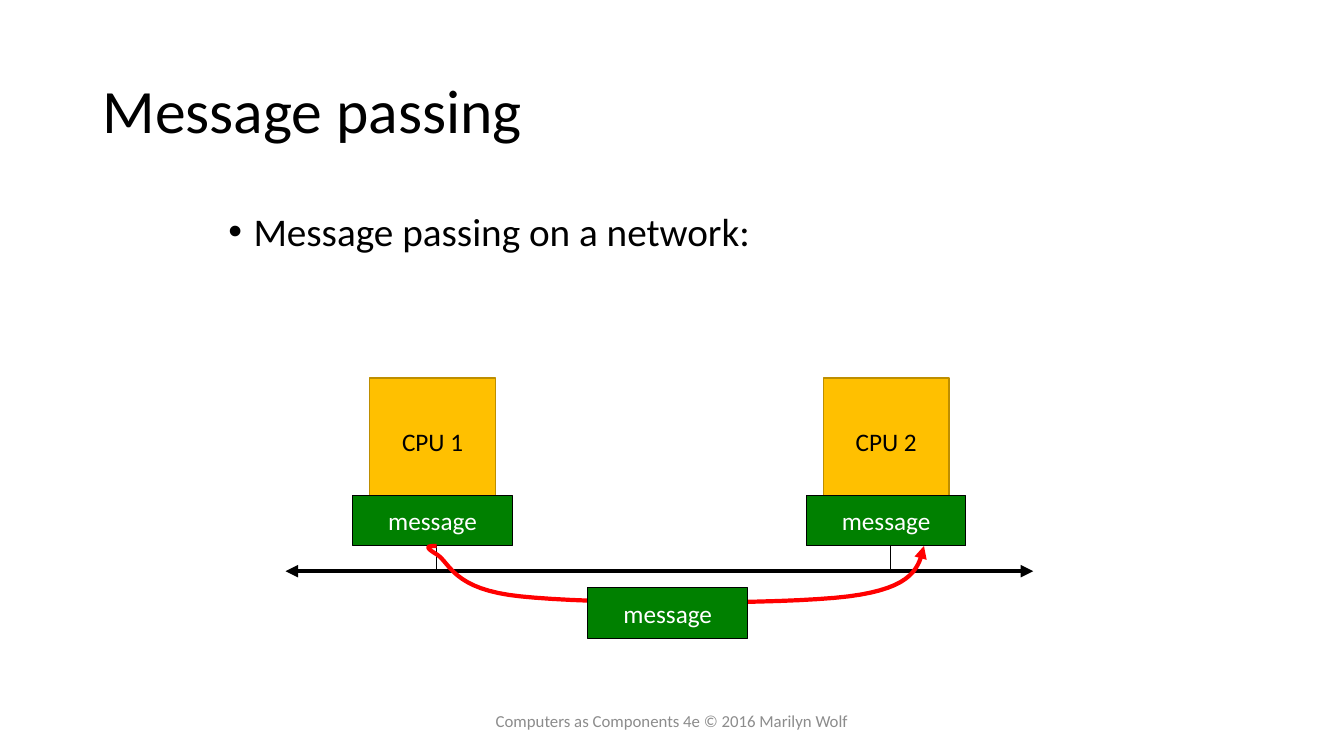
import pptx
import pptx.dml.color
import pptx.enum.shapes
import pptx.enum.text
import pptx.oxml.ns
import pptx.util
from lxml import etree

BLACK = pptx.dml.color.RGBColor(0x00, 0x00, 0x00)
WHITE = pptx.dml.color.RGBColor(0xFF, 0xFF, 0xFF)
GRAY = pptx.dml.color.RGBColor(0x8C, 0x8C, 0x8C)
GOLD = pptx.dml.color.RGBColor(0xFF, 0xC0, 0x00)
DARK_GOLD = pptx.dml.color.RGBColor(0xBD, 0x8E, 0x00)
GREEN = pptx.dml.color.RGBColor(0x00, 0x80, 0x00)
RED = pptx.dml.color.RGBColor(0xFF, 0x00, 0x00)

WIDTH = pptx.util.Inches(13.333)
HEIGHT = pptx.util.Inches(7.5)
COLUMNS, ROWS = 160, 90
NODE_PITCH = 54
BUS_ROW = 68
CURVE_STEPS = 16

ALIGN = pptx.enum.text.PP_ALIGN
MIDDLE = pptx.enum.text.MSO_ANCHOR.MIDDLE
TOP = pptx.enum.text.MSO_ANCHOR.TOP

TITLE = {"size": 44, "color": BLACK, "align": ALIGN.LEFT, "spacing": 0.9}
BULLET = {"size": 28, "color": BLACK, "align": ALIGN.LEFT, "spacing": 0.9,
          "anchor": TOP, "bullet": True}
FOOTER = {"size": 12, "color": GRAY}
CPU = {"size": 18, "color": BLACK, "wrap": False}
MESSAGE = {"size": 18, "color": WHITE, "wrap": False}


def col(count):
    return round(WIDTH * count / COLUMNS)


def row(count):
    return round(HEIGHT * count / ROWS)


def cells(left, top, width, height):
    return col(left), row(top), col(width), row(height)


def apply(target, values):
    for name, value in values.items():
        setattr(target, name, value)


def add_xml(parent, tag, **attributes):
    return etree.SubElement(parent, pptx.oxml.ns.qn(tag), attributes)


def write(shape, words, size, color, align=ALIGN.CENTER, spacing=1.0,
          anchor=MIDDLE, wrap=True, bullet=False):
    frame = shape.text_frame
    frame.text = words
    apply(frame, {"word_wrap": wrap, "vertical_anchor": anchor,
                  "auto_size": pptx.enum.text.MSO_AUTO_SIZE.NONE})
    paragraph = frame.paragraphs[0]
    apply(paragraph, {"alignment": align, "line_spacing": spacing})
    if bullet:
        indent = pptx.util.Inches(0.25)
        properties = paragraph._p.get_or_add_pPr()
        properties.set("marL", str(indent))
        properties.set("indent", str(-indent))
        add_xml(properties, "a:buFont", typeface="Arial")
        add_xml(properties, "a:buChar", char="•")
    font = paragraph.runs[0].font
    apply(font, {"name": "Calibri", "size": pptx.util.Pt(size)})
    font.color.rgb = color


def draw_line(line, color, width, *ends):
    line.color.rgb = color
    line.width = pptx.util.Pt(width)
    for end in ends:
        add_xml(line._get_or_add_ln(), end, type="triangle")


def add_title(slide, words):
    title = slide.shapes.title
    left, top, width, height = cells(11, 4.8, 138, 17.4)
    apply(title, {"left": left, "top": top, "width": width, "height": height})
    write(title, words, **TITLE)


def add_label(slide, place, words, style):
    write(slide.shapes.add_textbox(*cells(*place)), words, **style)


def add_block(slide, place, words, style, fill, border, border_width):
    block = slide.shapes.add_shape(
        pptx.enum.shapes.MSO_SHAPE.RECTANGLE, *cells(*place))
    block.shadow.inherit = False
    block.fill.solid()
    block.fill.fore_color.rgb = fill
    draw_line(block.line, border, border_width)
    write(block, words, **style)


def add_message(slide, left, top):
    add_block(slide, (left, top, 19, 6), "message", MESSAGE, GREEN, BLACK, 0.75)


def add_link(slide, start, finish, width, *ends):
    link = slide.shapes.add_connector(
        pptx.enum.shapes.MSO_CONNECTOR.STRAIGHT,
        col(start[0]), row(start[1]), col(finish[0]), row(finish[1]))
    draw_line(link.line, BLACK, width, *ends)
    add_xml(link._element.spPr, "a:effectLst")


def bezier(points, t):
    weights = ((1 - t) ** 3, 3 * t * (1 - t) ** 2, 3 * t ** 2 * (1 - t), t ** 3)
    x, y = (sum(w * p[axis] for w, p in zip(weights, points)) for axis in (0, 1))
    return col(x), row(y)


def add_route(slide, knots):
    trail = [bezier(knots[first:first + 4], step / CURVE_STEPS)
             for first in range(0, len(knots) - 1, 3)
             for step in range(1, CURVE_STEPS + 1)]
    builder = slide.shapes.build_freeform(col(knots[0][0]), row(knots[0][1]))
    builder.add_line_segments(trail, close=False)
    route = builder.convert_to_shape()
    route.shadow.inherit = False
    route.fill.background()
    draw_line(route.line, RED, 3, "a:tailEnd")


def main():
    deck = pptx.Presentation()
    apply(deck, {"slide_width": WIDTH, "slide_height": HEIGHT})
    slide = deck.slides.add_slide(deck.slide_layouts.get_by_name("Title Only"))
    add_title(slide, "Message passing")
    add_label(slide, (26, 24.7, 107.3, 10.2), "Message passing on a network:", BULLET)

    add_link(slide, (34, BUS_ROW), (123, BUS_ROW), 3, "a:headEnd", "a:tailEnd")
    nodes = [(f"CPU {index + 1}", index * NODE_PITCH) for index in range(2)]
    for name, shift in nodes:
        add_block(slide, (44 + shift, 45, 15, 15), name, CPU, GOLD, DARK_GOLD, 1)
        add_link(slide, (52 + shift, 60), (52 + shift, BUS_ROW), 0.75)
        add_message(slide, 42 + shift, 59)

    add_route(slide, [(52, 65), (51.1, 65), (50.3, 65), (52, 66),
                      (53.6, 67), (53.9, 70.2), (62, 71),
                      (70.2, 71.9), (93, 72), (101, 71),
                      (109, 70), (109.4, 67.4), (110, 65)])
    add_message(slide, 70, 70)
    add_label(slide, (53, 83.4, 54, 4.8),
              "Computers as Components 4e © 2016 Marilyn Wolf", FOOTER)
    deck.save("out.pptx")


if __name__ == "__main__":
    main()
